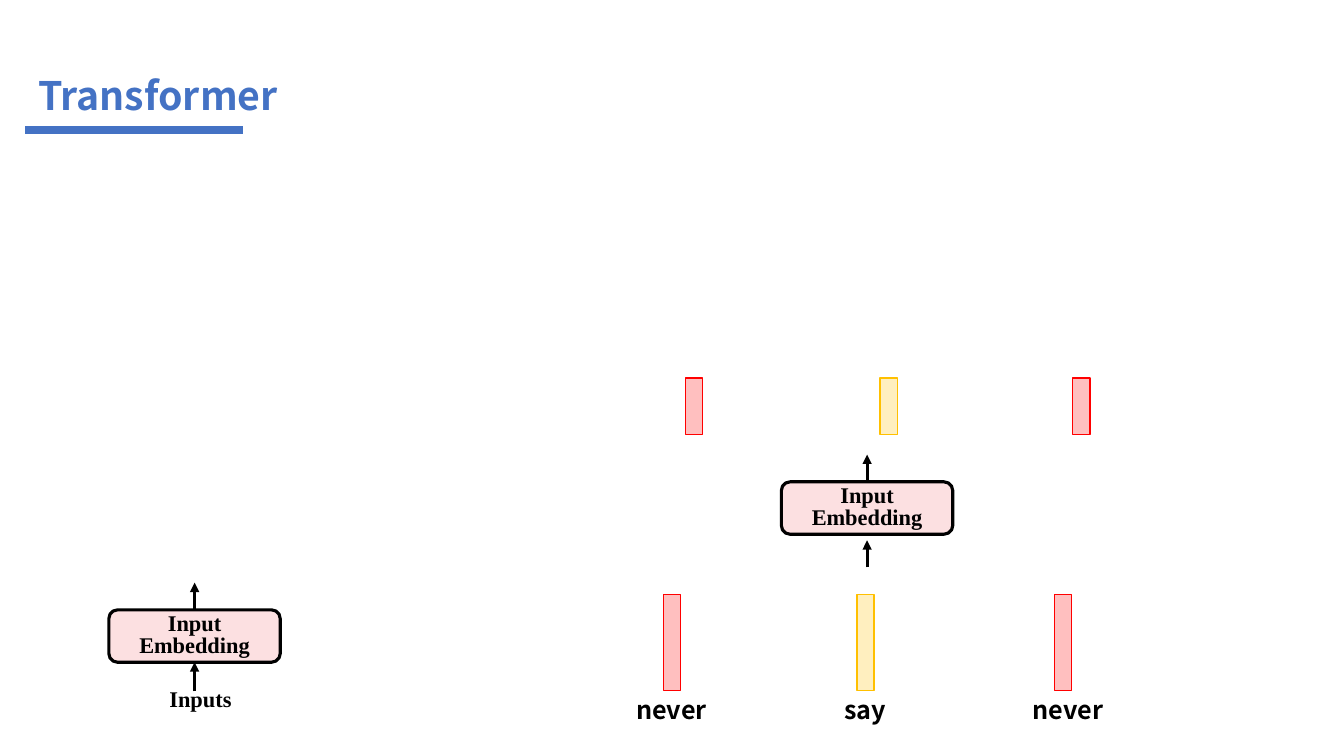
from lxml.etree import SubElement
from pptx import Presentation
from pptx.dml.color import RGBColor
from pptx.enum.shapes import MSO_CONNECTOR, MSO_SHAPE
from pptx.enum.text import MSO_ANCHOR as ANCHOR, MSO_AUTO_SIZE as AUTO, PP_ALIGN as ALIGN
from pptx.oxml.ns import qn
from pptx.util import Inches, Pt

BLUE = RGBColor(0x44, 0x72, 0xC4)
BLACK = RGBColor(0, 0, 0)
PINK = RGBColor(0xFC, 0xE0, 0xE1)
RED = RGBColor(0xFF, 0, 0)
GOLD = RGBColor(0xFF, 0xC0, 0)
SANS, SERIF = "Noto Sans CJK SC", "Times New Roman"

TITLE = "Transformer"
EMBEDDING = ["Input", "Embedding"]
INPUTS = "Inputs"
TOKENS = [
    ("never", RED, 6.2, 6.58, 6.8),
    ("say", GOLD, 8.12, 8.5, 8.73),
    ("never", RED, 10.13, 10.46, 10.64),
]
BLOCKS = [
    {"left": 1.08, "top": 6.05, "arrow_from": 6.86, "joined": True},
    {"left": 7.75, "top": 4.78, "arrow_from": 5.63, "joined": False},
]
BLOCK_W, BLOCK_H, ARROW_H = 1.7, 0.52, 0.27
BAR_W = 0.17
BAR_ROWS = [(5.9, 0.95), (3.75, 0.56)]


def write(shape, lines, *, size, font, color=BLACK, align=ALIGN.LEFT,
          anchor=ANCHOR.TOP, spacing=None, inset=None, wrap=True):
    """Fill a shape with formatted lines of bold text."""
    tf = shape.text_frame
    tf.auto_size = AUTO.NONE
    tf.word_wrap = wrap
    tf.vertical_anchor = anchor
    if inset is not None:
        tf.margin_left = tf.margin_right = Inches(inset)
        tf.margin_top = tf.margin_bottom = Inches(inset)
    for i, line in enumerate(lines):
        p = tf.add_paragraph() if i else tf.paragraphs[0]
        p.alignment = align
        if spacing:
            p.line_spacing = Pt(spacing)
        r = p.add_run()
        r.text = line
        r.font.size, r.font.name, r.font.bold = Pt(size), font, True
        r.font.color.rgb = color


def add_box(s, kind, left, top, width, height, fill, line, weight, alpha=None):
    """Add a filled and outlined preset shape."""
    sp = s.shapes.add_shape(kind, Inches(left), Inches(top), Inches(width), Inches(height))
    sp.shadow.inherit = False
    sp.fill.solid()
    sp.fill.fore_color.rgb = fill
    sp.line.color.rgb = line
    sp.line.width = Pt(weight)
    if alpha:
        color = sp.fill._xPr.find(qn("a:solidFill"))[0]
        SubElement(color, qn("a:alpha")).set("val", str(alpha * 1000))
    return sp


def add_line(s, x1, y1, x2, y2, color=BLACK, weight=2.25, arrow=False):
    """Add a straight line, with an arrowhead at its end on request."""
    cxn = s.shapes.add_connector(MSO_CONNECTOR.STRAIGHT, Inches(x1), Inches(y1),
                                 Inches(x2), Inches(y2))
    cxn.line.color.rgb = color
    cxn.line.width = Pt(weight)
    if arrow:
        SubElement(cxn.line._get_or_add_ln(), qn("a:tailEnd")).set("type", "triangle")
    SubElement(cxn._element.spPr, qn("a:effectLst"))
    return cxn


def add_text(s, left, top, width, height, text, **fmt):
    """Add a text box of one line."""
    tb = s.shapes.add_textbox(Inches(left), Inches(top), Inches(width), Inches(height))
    write(tb, [text], **fmt)


def add_block(s, left, top, arrow_from, joined):
    """Add an embedding block with its arrows in and out."""
    box = add_box(s, MSO_SHAPE.ROUNDED_RECTANGLE, left, top, BLOCK_W, BLOCK_H,
                  PINK, BLACK, 2.25)
    write(box, EMBEDDING, size=16, font=SERIF, align=ALIGN.CENTER,
          anchor=ANCHOR.MIDDLE, spacing=16, inset=0.13)
    x = left + BLOCK_W / 2
    arrow_in = add_line(s, x, arrow_from, x, arrow_from - ARROW_H, arrow=True)
    if joined:
        arrow_in.end_connect(box, 2)
    arrow_out = add_line(s, x, top, x, top - ARROW_H, arrow=True)
    arrow_out.begin_connect(box, 0)


def main():
    """Build the slide and save it."""
    prs = Presentation()
    prs.slide_width, prs.slide_height = Inches(13.33), Inches(7.5)
    s = prs.slides.add_slide(prs.slide_layouts[5])
    title = s.shapes.title
    title.left, title.top = Inches(0.28), Inches(0.66)
    title.width, title.height = Inches(4.79), Inches(0.57)
    write(title, [TITLE], size=28, font=SANS, color=BLUE)
    add_line(s, 0.25, 1.29, 2.41, 1.29, color=BLUE, weight=6)

    for block in BLOCKS:
        add_block(s, **block)
    add_text(s, 1.55, 6.72, 1.01, 0.46, INPUTS, size=16, font=SERIF,
             anchor=ANCHOR.MIDDLE, spacing=16, inset=0.13)

    for word, color, word_x, *bar_xs in TOKENS:
        for x, (top, height) in zip(bar_xs, BAR_ROWS):
            add_box(s, MSO_SHAPE.RECTANGLE, x, top, BAR_W, height, color, color, 1, alpha=25)
        add_text(s, word_x, 6.84, 0.92, 0.4, word, size=18, font=SANS, align=ALIGN.CENTER)

    prs.save("out.pptx")


if __name__ == "__main__":
    main()
